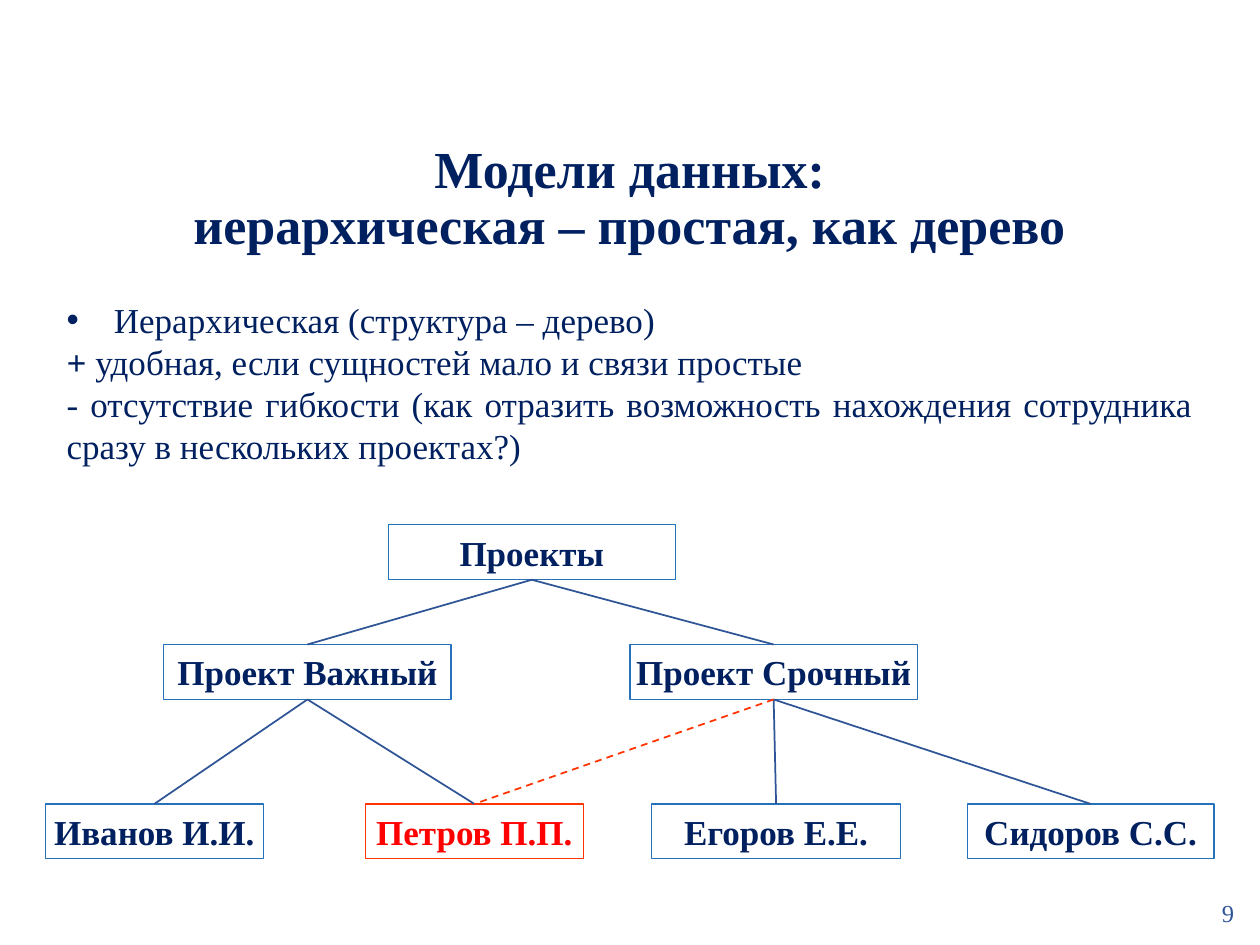
from lxml import etree
from pptx import Presentation
from pptx.dml.color import RGBColor
from pptx.enum.dml import MSO_LINE
from pptx.enum.shapes import MSO_CONNECTOR, MSO_SHAPE
from pptx.enum.text import MSO_ANCHOR, PP_ALIGN
from pptx.oxml.ns import qn
from pptx.util import Pt

CENTER, JUSTIFY = PP_ALIGN.CENTER, PP_ALIGN.JUSTIFY
TOP, MIDDLE = MSO_ANCHOR.TOP, MSO_ANCHOR.MIDDLE
RECTANGLE, STRAIGHT, DASH = MSO_SHAPE.RECTANGLE, MSO_CONNECTOR.STRAIGHT, MSO_LINE.DASH

FONT = "Times New Roman"
NAVY, BLUE, BORDER = "002060", "2F5597", "2572BB"
RED, ORANGE = "FF0000", "FF3300"

BOX_HEIGHT = 31.4
TOP_SITE, BOTTOM_SITE = 0, 2

# Name, left, top, width
NODES = [
    ("Проекты", 221.8, 299.9, 164.2),
    ("Проект Важный", 93.6, 368.3, 164.2),
    ("Проект Срочный", 360, 368.3, 164.2),
    ("Иванов И.И.", 25.9, 459.4, 124.6),
    ("Петров П.П.", 208.8, 459.4, 124.6),
    ("Егоров Е.Е.", 372.2, 459.4, 142.6),
    ("Сидоров С.С.", 552.7, 459.4, 141.1),
]
CHILDREN = {
    "Проекты": ["Проект Важный", "Проект Срочный"],
    "Проект Важный": ["Иванов И.И.", "Петров П.П."],
    "Проект Срочный": ["Егоров Е.Е.", "Сидоров С.С."],
}
SHARED_EMPLOYEE = "Петров П.П."


def color(value):
    return RGBColor.from_string(value)


def write_text(shape, paragraphs, size=20, font_color=NAVY, bold=False,
               align=CENTER, anchor=TOP, side_margin=7.2, line_spacing=None):
    """Each paragraph is a string or a list of (text, bold) runs."""
    frame = shape.text_frame
    frame.word_wrap = True
    frame.vertical_anchor = anchor
    frame.margin_left = frame.margin_right = Pt(side_margin)
    frame.margin_top = frame.margin_bottom = Pt(3.6)
    for index, content in enumerate(paragraphs):
        paragraph = frame.add_paragraph() if index else frame.paragraphs[0]
        paragraph.alignment = align
        paragraph.line_spacing = line_spacing
        runs = [(content, bold)] if isinstance(content, str) else content
        for text, run_bold in runs:
            for number, line in enumerate(text.split("\n")):
                if number:
                    paragraph.add_line_break()
                run = paragraph.add_run()
                run.text = line
                run.font.name = FONT
                run.font.size = Pt(size)
                run.font.bold = run_bold
                run.font.color.rgb = color(font_color)


def add_text(slide, left, top, width, height, paragraphs, **text_format):
    box = slide.shapes.add_textbox(Pt(left), Pt(top), Pt(width), Pt(height))
    write_text(box, paragraphs, **text_format)
    return box


def add_bullet(paragraph, indent):
    properties = paragraph._p.get_or_add_pPr()
    properties.set("marL", str(Pt(indent)))
    properties.set("indent", str(-Pt(indent)))
    etree.SubElement(properties, qn("a:buFont")).set("typeface", "Arial")
    etree.SubElement(properties, qn("a:buChar")).set("char", "•")


def add_node(slide, name, left, top, width, border, font_color):
    node = slide.shapes.add_shape(RECTANGLE, Pt(left), Pt(top), Pt(width), Pt(BOX_HEIGHT))
    node.shadow.inherit = False
    node.fill.background()
    node.line.color.rgb = color(border)
    node.line.width = Pt(0.75)
    write_text(node, [name], font_color=font_color, bold=True, side_margin=3)
    return node


def add_branch(slide, parent, child, line_color=BLUE, dash=None):
    branch = slide.shapes.add_connector(STRAIGHT, 0, 0, 0, 0)
    branch.begin_connect(parent, BOTTOM_SITE)
    branch.end_connect(child, TOP_SITE)
    branch.line.color.rgb = color(line_color)
    branch.line.width = Pt(1)
    branch.line.dash_style = dash
    etree.SubElement(branch._element.spPr, qn("a:effectLst"))


def main():
    presentation = Presentation()
    presentation.slide_width, presentation.slide_height = Pt(720), Pt(540)
    slide = presentation.slides.add_slide(presentation.slide_layouts[6])

    # Title and description
    add_text(slide, 0, 82.8, 720, 62.6,
             ["Модели данных:\nиерархическая – простая, как дерево"],
             size=29.7, bold=True, anchor=MIDDLE, line_spacing=0.9)
    description = add_text(slide, 31, 167, 657.4, 104.4, [
        "Иерархическая (структура – дерево)",
        [("+", True), (" удобная, если сущностей мало и связи простые", False)],
        "- отсутствие гибкости (как отразить возможность нахождения "
        "сотрудника сразу в нескольких проектах?)",
    ], align=JUSTIFY)
    add_bullet(description.text_frame.paragraphs[0], 27)

    # Tree boxes
    nodes = {}
    for name, left, top, width in NODES:
        border, font_color = (ORANGE, RED) if name == SHARED_EMPLOYEE else (BORDER, NAVY)
        nodes[name] = add_node(slide, name, left, top, width, border, font_color)

    # Tree branches, and the link that the hierarchy cannot hold
    for parent, children in CHILDREN.items():
        for child in children:
            add_branch(slide, nodes[parent], nodes[child])
    add_branch(slide, nodes["Проект Срочный"], nodes[SHARED_EMPLOYEE], ORANGE, DASH)

    # Slide number
    add_text(slide, 683.3, 502.6, 36.7, 37.4, ["9"], size=14, font_color=BLUE,
             anchor=MIDDLE, side_margin=3)

    presentation.save("out.pptx")


if __name__ == "__main__":
    main()
